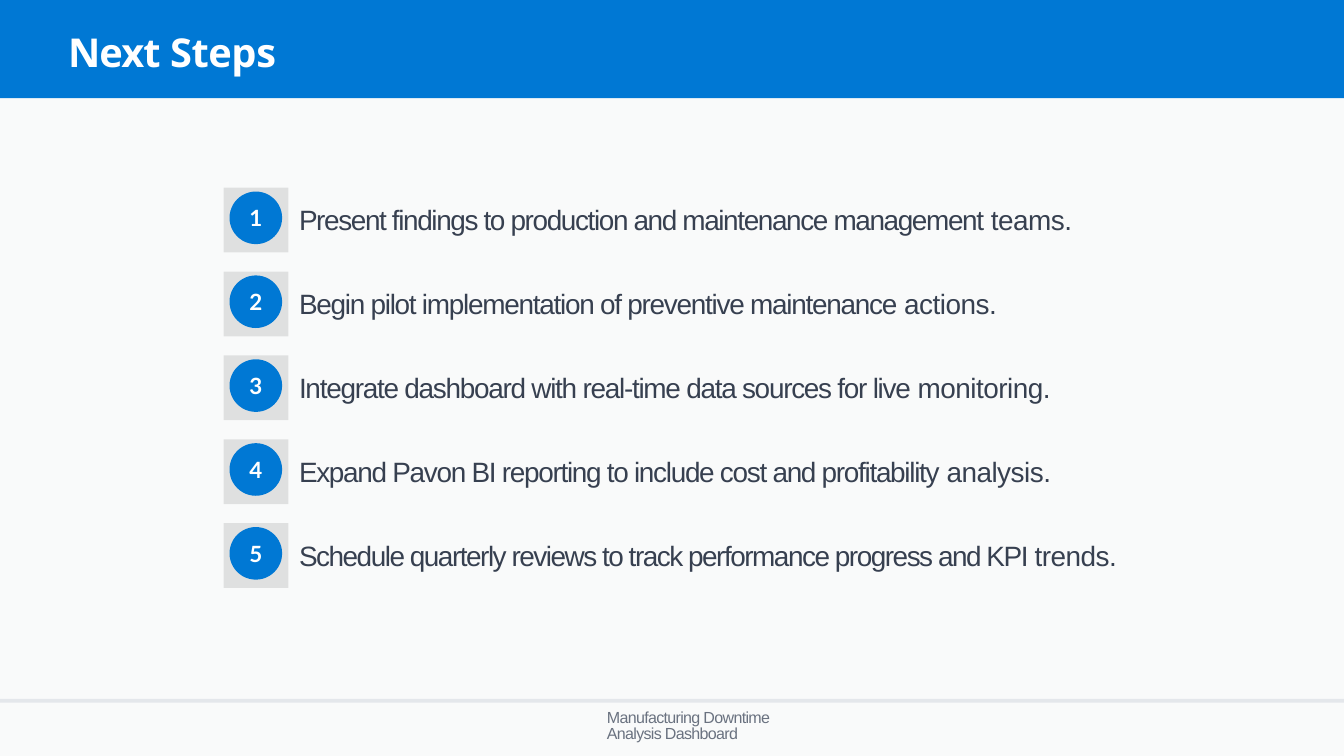
from lxml.etree import SubElement
from pptx import Presentation
from pptx.dml.color import RGBColor
from pptx.enum.shapes import MSO_SHAPE
from pptx.enum.text import MSO_ANCHOR, PP_ALIGN
from pptx.oxml.ns import qn
from pptx.util import Cm, Pt

BLUE = RGBColor(0x00, 0x78, 0xD4)
PAPER = RGBColor(0xF9, 0xFA, 0xFA)
RULE = RGBColor(0xE4, 0xE7, 0xEB)
BLACK = RGBColor(0x00, 0x00, 0x00)
WHITE = RGBColor(0xFF, 0xFF, 0xFF)
SLATE = RGBColor(0x37, 0x40, 0x50)
GRAY = RGBColor(0x6A, 0x72, 0x80)

SLIDE_WIDTH, SLIDE_HEIGHT = 48.54, 27.31
STEP_PITCH = 3.03

# Opening words, last word, letter spacing in points, text width in cm
STEPS = [
    ("Present findings to production and maintenance management ", "teams.", -1.38, 28.1),
    ("Begin pilot implementation of preventive maintenance ", "actions.", -1.28, 25.3),
    ("Integrate dashboard with real-time data sources for live ", "monitoring.", -1.28, 27.2),
    ("Expand Pavon BI reporting to include cost and profitability ", "analysis.", -1.31, 27.2),
    ("Schedule quarterly reviews to track performance progress and KPI ", "trends.", -1.51, 29.8),
]


class SlideBuilder:
    def __init__(self, slide):
        self.slide = slide
        background = slide.background.fill
        background.solid()
        background.fore_color.rgb = PAPER

    def block(self, kind, left, top, width, height, color, opacity=None):
        shape = self.slide.shapes.add_shape(
            kind, Cm(left), Cm(top), Cm(width), Cm(height))
        shape.shadow.inherit = False
        shape.fill.solid()
        shape.fill.fore_color.rgb = color
        shape.line.fill.background()
        if opacity is not None:
            color_element = shape._element.spPr.find(".//" + qn("a:srgbClr"))
            SubElement(color_element, qn("a:alpha"), val=str(opacity * 1000))
        return shape

    def fill_text(self, shape, runs, font_name, size, color, bold=False):
        """Fill the shape with runs given as (text, letter spacing in points)."""
        frame = shape.text_frame
        frame.word_wrap = True
        frame.margin_left = frame.margin_right = 0
        frame.margin_top = frame.margin_bottom = 0
        paragraph = frame.paragraphs[0]
        paragraph.font.name = font_name
        paragraph.font.size = Pt(size)
        paragraph.font.bold = bold
        paragraph.font.color.rgb = color
        for text, spacing in runs:
            run = paragraph.add_run()
            run.text = text
            run.font._element.set("spc", str(round(spacing * 100)))
        return paragraph

    def text(self, left, top, width, height, runs, font_name, size, color, bold=False):
        box = self.slide.shapes.add_textbox(
            Cm(left), Cm(top), Cm(width), Cm(height))
        return self.fill_text(box, runs, font_name, size, color, bold)

    def badge(self, top, number):
        self.block(MSO_SHAPE.RECTANGLE, 8.08, top, 2.34, 2.34, BLACK, opacity=10)
        circle = self.block(MSO_SHAPE.OVAL, 8.29, top + 0.14, 1.9, 1.9, BLUE)
        circle.text_frame.vertical_anchor = MSO_ANCHOR.MIDDLE
        paragraph = self.fill_text(circle, [(str(number), -0.7)], "Lato", 22.9, WHITE, True)
        paragraph.alignment = PP_ALIGN.CENTER


def main():
    presentation = Presentation()
    presentation.slide_width = Cm(SLIDE_WIDTH)
    presentation.slide_height = Cm(SLIDE_HEIGHT)
    builder = SlideBuilder(
        presentation.slides.add_slide(presentation.slide_layouts[6]))

    # Header
    builder.block(MSO_SHAPE.RECTANGLE, 0, 0, SLIDE_WIDTH, 3.55, BLUE)
    builder.text(2.46, 1, 8.5, 1.7, [("Next ", -0.9), ("Steps", -0.4)],
                 "Open Sans", 40.7, WHITE, True)

    # Numbered steps
    for index, (opening, last_word, spacing, width) in enumerate(STEPS):
        top = 6.78 + index * STEP_PITCH
        builder.badge(top, index + 1)
        builder.text(10.8, top + 0.54, width, 2.4,
                     [(opening, spacing), (last_word, -0.5)], "Arial", 28.6, SLATE)

    # Footer
    builder.block(MSO_SHAPE.RECTANGLE, 0, 25.25, SLIDE_WIDTH, 0.13, RULE)
    footer = builder.text(21.92, 25.7, 7.4, 1.14,
                          [("Manufacturing Downtime Analysis Dashboard", -0.7)],
                          "Arial", 16.4, GRAY)
    footer.line_spacing = Pt(16.1)

    presentation.save("out.pptx")


if __name__ == "__main__":
    main()
